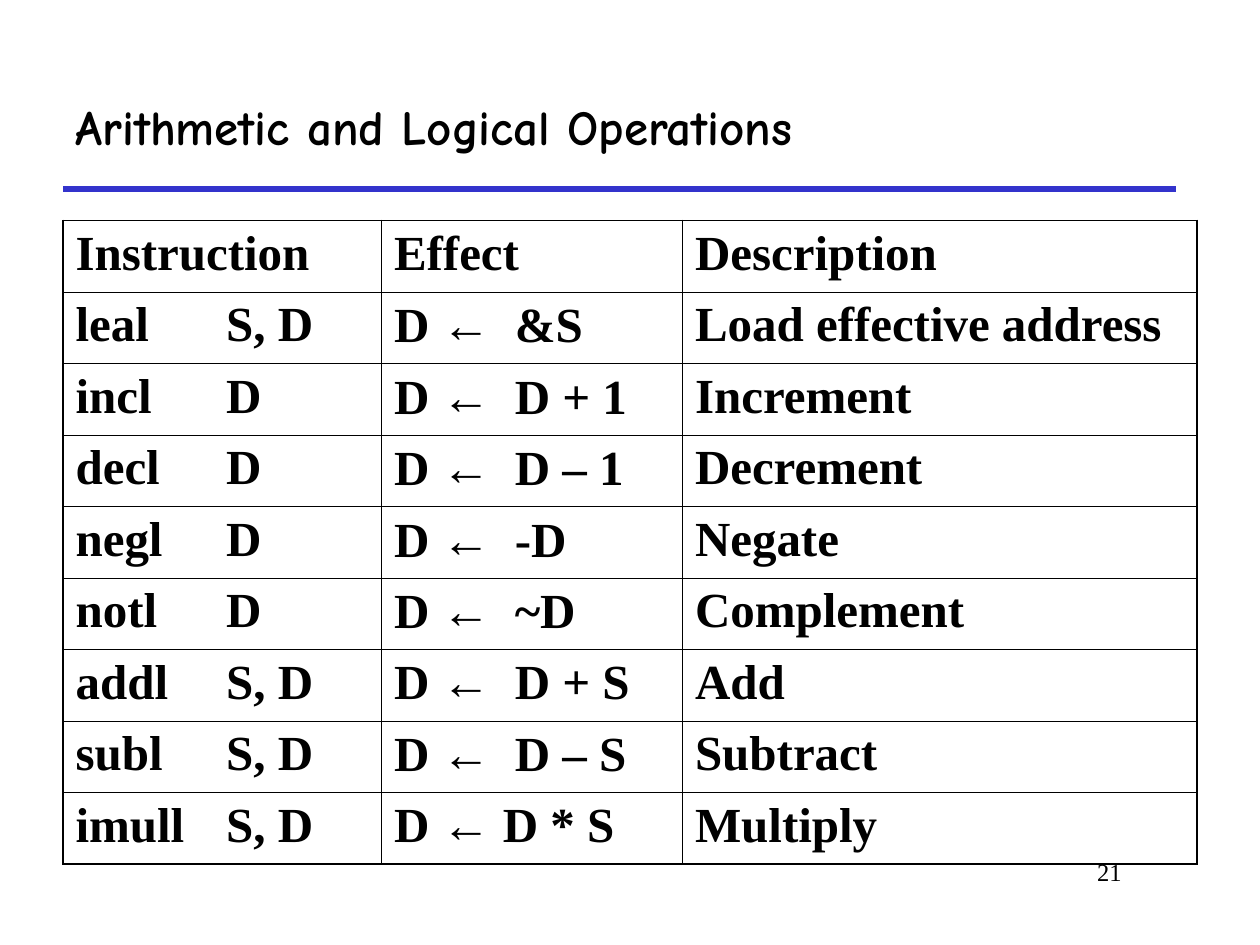
from lxml import etree
from pptx import Presentation
from pptx.dml.color import RGBColor
from pptx.enum.shapes import MSO_CONNECTOR
from pptx.enum.text import MSO_ANCHOR, PP_ALIGN
from pptx.oxml.ns import qn
from pptx.util import Pt

TITLE = "Arithmetic and Logical Operations"
PAGE_NUMBER = "21"
HEADINGS = ("Instruction", "Effect", "Description")
# A tab separates the name from its operands, and the arrow from its value.
OPERATIONS = [
    ("leal\tS, D", "D ←\t&S", "Load effective address"),
    ("incl\tD", "D ←\tD + 1", "Increment"),
    ("decl\tD", "D ←\tD – 1", "Decrement"),
    ("negl\tD", "D ←\t-D", "Negate"),
    ("notl\tD", "D ←\t~D", "Complement"),
    ("addl\tS, D", "D ←\tD + S", "Add"),
    ("subl\tS, D", "D ←\tD – S", "Subtract"),
    ("imull\tS, D", "D ← D * S", "Multiply"),
]

THEME = {
    "ink": "000000", "rule": "3333CC",
    "title_font": "Comic Neue", "body_font": "Times New Roman",
    "arrow_font": "Arial",
    "large": 28, "small": 14,
    "rule_width": 3, "outer_border": 1.08, "inner_border": 0.45,
}

LEFT = 36
TITLE_WIDTH = 636
TABLE_TOP, ROW_HEIGHT = 126, 40.86
COLUMN_WIDTHS = (182, 172, 294)
COLUMN_TABS = (86, 69, None)


def write(frame, text, font=THEME["body_font"], size=THEME["large"], bold=True,
          align=PP_ALIGN.LEFT, tab=None):
    """Fill a text frame with one paragraph, giving any arrow its own font."""
    frame.word_wrap = True
    paragraph = frame.paragraphs[0]
    paragraph.alignment = align
    if tab:
        stops = etree.SubElement(paragraph._p.get_or_add_pPr(), qn("a:tabLst"))
        etree.SubElement(stops, qn("a:tab"), pos=str(Pt(tab)), algn="l")
    before, arrow, after = text.partition("←")
    for part, part_font in ((before, font), (arrow, THEME["arrow_font"]), (after, font)):
        if part:
            run = paragraph.add_run()
            run.text = part
            run.font.name = part_font
            run.font.size = Pt(size)
            run.font.bold = bold
            run.font.color.rgb = RGBColor.from_string(THEME["ink"])


def add_text(slide, box, text, anchor=MSO_ANCHOR.TOP, **text_format):
    frame = slide.shapes.add_textbox(*map(Pt, box)).text_frame
    frame.vertical_anchor = anchor
    write(frame, text, **text_format)


def set_borders(cell, outer_sides):
    """Draw the four sides, with a heavier line on the table's outer edge."""
    properties = cell._tc.get_or_add_tcPr()
    for index, side in enumerate("LRTB"):
        weight = THEME["outer_border" if side in outer_sides else "inner_border"]
        line = etree.Element(qn(f"a:ln{side}"), w=str(Pt(weight)))
        fill = etree.SubElement(line, qn("a:solidFill"))
        etree.SubElement(fill, qn("a:srgbClr"), val=THEME["ink"])
        properties.insert(index, line)


def add_rule(slide):
    rule = slide.shapes.add_connector(
        MSO_CONNECTOR.STRAIGHT, Pt(LEFT), Pt(108), Pt(LEFT + TITLE_WIDTH), Pt(108))
    rule.line.color.rgb = RGBColor.from_string(THEME["rule"])
    rule.line.width = Pt(THEME["rule_width"])
    etree.SubElement(rule._element.spPr, qn("a:effectLst"))


def add_operations(slide):
    rows = [HEADINGS, *OPERATIONS]
    last_row, last_column = len(rows) - 1, len(HEADINGS) - 1
    table = slide.shapes.add_table(
        len(rows), len(HEADINGS), Pt(LEFT), Pt(TABLE_TOP),
        Pt(sum(COLUMN_WIDTHS)), Pt(ROW_HEIGHT * len(rows))).table
    table.first_row = table.horz_banding = False
    for column, width in zip(table.columns, COLUMN_WIDTHS):
        column.width = Pt(width)
    for r, row in enumerate(rows):
        table.rows[r].height = Pt(ROW_HEIGHT)
        for c, text in enumerate(row):
            cell = table.cell(r, c)
            cell.fill.background()
            edges = {"L": c == 0, "R": c == last_column, "T": r == 0, "B": r == last_row}
            set_borders(cell, [side for side, outer in edges.items() if outer])
            write(cell.text_frame, text, tab=COLUMN_TABS[c] if "\t" in text else None)


def main():
    presentation = Presentation()
    presentation.slide_width, presentation.slide_height = Pt(720), Pt(540)
    slide = presentation.slides.add_slide(presentation.slide_layouts[6])
    add_rule(slide)
    add_text(slide, (546, 486, 102, 36), PAGE_NUMBER,
             size=THEME["small"], bold=False, align=PP_ALIGN.RIGHT)
    add_text(slide, (LEFT, 36, TITLE_WIDTH, 72), TITLE,
             anchor=MSO_ANCHOR.MIDDLE, font=THEME["title_font"])
    add_operations(slide)
    presentation.save("out.pptx")


if __name__ == "__main__":
    main()
